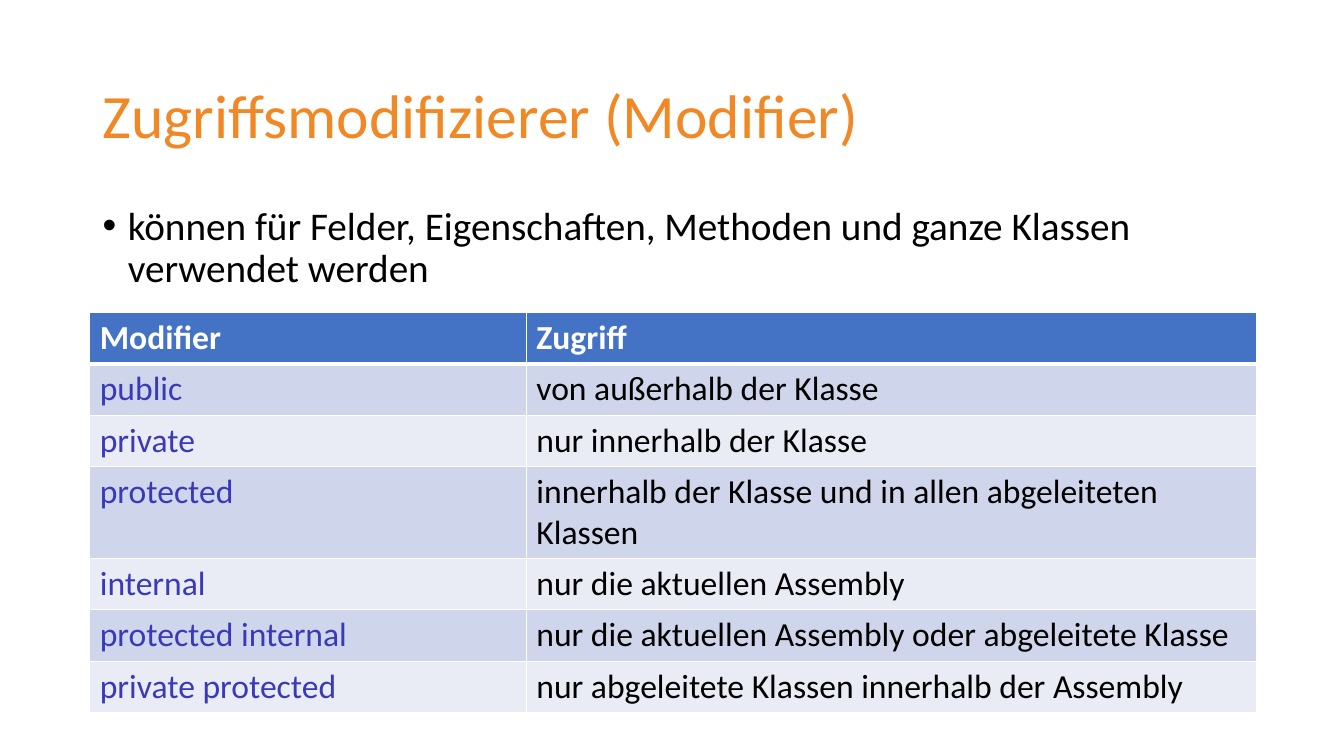
from lxml import etree
from pptx import Presentation, util as u
from pptx.dml.color import RGBColor
from pptx.enum import text
from pptx.oxml import ns

ORANGE = RGBColor(0xF1, 0x88, 0x26)
BLACK = RGBColor(0, 0, 0)
WHITE = RGBColor(0xFF, 0xFF, 0xFF)
KEYWORD = RGBColor(0x3A, 0x3A, 0xB9)
HEADER = RGBColor(0x44, 0x72, 0xC4)
BANDS = [RGBColor(0xE9, 0xEB, 0xF5), RGBColor(0xCF, 0xD5, 0xEA)]

deck = Presentation()
deck.slide_width, deck.slide_height = u.Inches(13.33), u.Inches(7.5)
slide = deck.slides.add_slide(deck.slide_layouts[6])
margin = u.Inches(0.92)
content_width = deck.slide_width - 2 * margin


def style(paragraph, size, color, bold=False):
    font = paragraph.runs[0].font
    font.name, font.size, font.bold = "Calibri", u.Pt(size), bold
    font.color.rgb = color


def add_text(top, height, wording, size, color, anchor):
    box = slide.shapes.add_textbox(margin, u.Inches(top), content_width, u.Inches(height))
    frame = box.text_frame
    frame.word_wrap = True
    frame.vertical_anchor = anchor
    frame.text = wording
    paragraph = frame.paragraphs[0]
    paragraph.line_spacing = 0.9
    style(paragraph, size, color)
    return paragraph


add_text(0.5, 1.35, "Zugriffsmodifizierer (Modifier)", 44, ORANGE, text.MSO_ANCHOR.MIDDLE)
usage = add_text(2, 4.76, "können für Felder, Eigenschaften, Methoden und ganze Klassen verwendet werden",
                 28, BLACK, text.MSO_ANCHOR.TOP)
usage.space_before = u.Pt(10)
usage_format = usage._p.get_or_add_pPr()
usage_format.set("marL", str(u.Inches(0.25)))
usage_format.set("indent", str(-u.Inches(0.25)))
etree.SubElement(usage_format, ns.qn("a:buFont"), typeface="Arial")
etree.SubElement(usage_format, ns.qn("a:buChar"), char="•")

modifiers = [
    ("Modifier", "Zugriff"),
    ("public", "von außerhalb der Klasse"),
    ("private", "nur innerhalb der Klasse"),
    ("protected", "innerhalb der Klasse und in allen abgeleiteten Klassen"),
    ("internal", "nur die aktuellen Assembly"),
    ("protected internal", "nur die aktuellen Assembly oder abgeleitete Klasse"),
    ("private protected", "nur abgeleitete Klassen innerhalb der Assembly"),
]
row_height, two_line_height = u.Inches(0.51), u.Inches(0.91)
access = slide.shapes.add_table(len(modifiers), 2, u.Inches(0.89), u.Inches(3.1), u.Inches(11.57),
                                row_height * len(modifiers)).table
access.columns[0].width, access.columns[1].width = u.Inches(4.33), u.Inches(7.24)

for row, entry in enumerate(modifiers):
    access.rows[row].height = two_line_height if entry[0] == "protected" else row_height
    for column, wording in enumerate(entry):
        cell = access.cell(row, column)
        cell.text = wording
        color = WHITE if row == 0 else (KEYWORD, BLACK)[column]
        style(cell.text_frame.paragraphs[0], 24, color, bold=row == 0)
        for side in "LRTB":
            heavy = (row, side) in ((0, "B"), (1, "T"))
            border = etree.SubElement(cell._tc.get_or_add_tcPr(), ns.qn("a:ln" + side),
                                      w=str(u.Pt(3 if heavy else 1)))
            paint = etree.SubElement(border, ns.qn("a:solidFill"))
            etree.SubElement(paint, ns.qn("a:srgbClr"), val=str(WHITE))
        cell.fill.solid()
        cell.fill.fore_color.rgb = HEADER if row == 0 else BANDS[row % 2]

deck.save("out.pptx")
